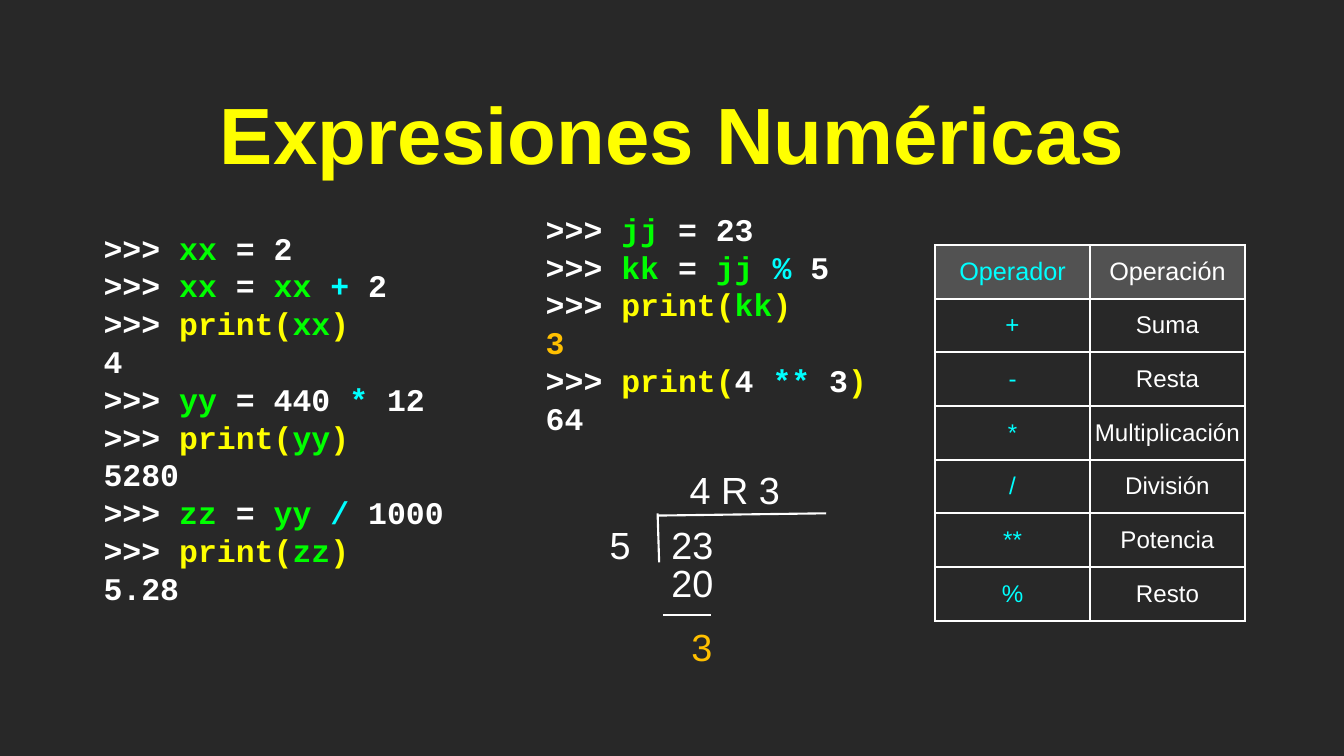
from lxml.etree import SubElement
from pptx import Presentation
from pptx.dml.color import RGBColor
from pptx.enum.shapes import MSO_CONNECTOR as Connector
from pptx.enum.text import MSO_ANCHOR as Anchor, PP_ALIGN as Align
from pptx.oxml.ns import qn
from pptx.util import Inches, Pt

WIDTH, HEIGHT = 17.78, 10
WHITE, YELLOW, GREEN, CYAN, ORANGE = "FFFFFF", "FFFF00", "00FF00", "00FFFF", "FFC000"
BACKGROUND, HEADER = "282828", "7F7F7F"
PROMPT = (">>> ", WHITE)


def print_call(name, color=GREEN):
    return [PROMPT, ("print(", YELLOW), (name, color), (")", YELLOW)]


TITLE = [[("Expresiones Numéricas", YELLOW)]]
ARITHMETIC = [
    [PROMPT, ("xx", GREEN), (" = 2", WHITE)],
    [PROMPT, ("xx", GREEN), (" = ", WHITE), ("xx ", GREEN), ("+", CYAN), (" 2", WHITE)],
    print_call("xx"),
    [("4", WHITE)],
    [PROMPT, ("yy", GREEN), (" = 440 ", WHITE), ("*", CYAN), (" 12", WHITE)],
    print_call("yy"),
    [("5280", WHITE)],
    [PROMPT, ("zz", GREEN), (" = ", WHITE), ("yy ", GREEN), ("/", CYAN), (" 1000", WHITE)],
    print_call("zz", "00FA00"),
    [("5.28", WHITE)],
]
REMAINDER = [
    [(">>>", WHITE), (" jj", GREEN), (" = 23", WHITE)],
    [PROMPT, ("kk", GREEN), (" = ", WHITE), ("jj ", GREEN), ("% ", CYAN), ("5", WHITE)],
    print_call("kk"),
    [("3", ORANGE)],
    [PROMPT, ("print(", YELLOW), ("4 ", WHITE), ("** ", CYAN), ("3", WHITE), (")", YELLOW)],
    [("64", WHITE)],
]
CODE_BLOCKS = [
    (ARITHMETIC, (1.37, 2.62, 4.88, 5.81)),
    (REMAINDER, (7.22, 2.51, 4.4, 3.53)),
]
OPERATORS = [
    ("Operador", "Operación"),
    ("+", "Suma"),
    ("-", "Resta"),
    ("*", "Multiplicación"),
    ("/", "División"),
    ("**", "Potencia"),
    ("%", "Resto"),
]
TABLE_LEFT, TABLE_TOP, COLUMN, ROW = 12.37, 3.24, 2.05, 0.71
DIGIT_HEIGHT = 0.68
DIVISION = [
    ("5", WHITE, 8.02, 6.86, 0.37),
    ("23", WHITE, 8.85, 6.86, 0.62),
    ("4 R 3", WHITE, 9.12, 6.13, 1.2),
    ("20", WHITE, 8.85, 7.36, 0.62),
    ("3", ORANGE, 9.1, 8.21, 0.37),
]
DIVISION_LINES = [
    (8.7, 6.79, 8.72, 7.44),
    (8.7, 6.82, 10.93, 6.79),
    (8.77, 8.14, 9.41, 8.14),
]


def rgb(color):
    return RGBColor.from_string(color)


def write(frame, lines, size, font="Arial", bold=False, align=Align.CENTER, spacing=None):
    for index, line in enumerate(lines):
        para = frame.add_paragraph() if index else frame.paragraphs[0]
        para.alignment = align
        if spacing:
            para.line_spacing = Pt(spacing)
        for text, color in line:
            span = para.add_run()
            span.text = text
            span.font.name, span.font.size, span.font.bold = font, Pt(size), bold
            span.font.color.rgb = rgb(color)


def add_text(page, place, lines, size, wrap=True, **style):
    box = page.shapes.add_textbox(*map(Inches, place))
    frame = box.text_frame
    frame.word_wrap = wrap
    frame.vertical_anchor = Anchor.MIDDLE
    frame.margin_left = frame.margin_right = frame.margin_top = frame.margin_bottom = 0
    write(frame, lines, size, **style)


def add_line(page, ends):
    line = page.shapes.add_connector(Connector.STRAIGHT, *map(Inches, ends))
    line.line.color.rgb = rgb(WHITE)
    line.line.width = Pt(2)
    SubElement(line._element.spPr, qn("a:effectLst"))


def add_borders(cell):
    properties = cell._tc.get_or_add_tcPr()
    for index, side in enumerate(("lnL", "lnR", "lnT", "lnB")):
        border = SubElement(properties, qn(f"a:{side}"), w=str(Pt(2)))
        fill = SubElement(border, qn("a:solidFill"))
        SubElement(fill, qn("a:srgbClr"), val=WHITE)
        properties.insert(index, border)


def fill_cell(cell, is_header):
    if not is_header:
        cell.fill.background()
        return
    cell.fill.solid()
    cell.fill.fore_color.rgb = rgb(HEADER)
    tint = cell._tc.tcPr.find(f".//{qn('a:srgbClr')}")
    SubElement(tint, qn("a:alpha"), val="49000")


def add_operators(page):
    rows, columns = len(OPERATORS), len(OPERATORS[0])
    place = TABLE_LEFT, TABLE_TOP, columns * COLUMN, rows * ROW
    table = page.shapes.add_table(rows, columns, *map(Inches, place)).table
    table.first_row = table.horz_banding = False
    for row, labels in enumerate(OPERATORS):
        for column, (label, color) in enumerate(zip(labels, (CYAN, WHITE))):
            cell = table.cell(row, column)
            cell.vertical_anchor = Anchor.MIDDLE
            cell.margin_left = cell.margin_right = Inches(0.04)
            cell.margin_top = cell.margin_bottom = Inches(0.04)
            fill_cell(cell, row == 0)
            add_borders(cell)
            write(cell.text_frame, [[(label, color)]], 23 if row else 24)


def main():
    """Build the slide on numeric expressions and save it."""
    deck = Presentation()
    deck.slide_width, deck.slide_height = Inches(WIDTH), Inches(HEIGHT)
    page = deck.slides.add_slide(deck.slide_layouts[6])
    page.background.fill.solid()
    page.background.fill.fore_color.rgb = rgb(BACKGROUND)
    for lines, place in CODE_BLOCKS:
        add_text(page, place, lines, 30, font="Courier New", bold=True,
                 align=Align.LEFT, spacing=36)
    add_operators(page)
    for ends in DIVISION_LINES:
        add_line(page, ends)
    for text, color, left, top, width in DIVISION:
        add_text(page, (left, top, width, DIGIT_HEIGHT), [[(text, color)]], 36, wrap=False)
    add_text(page, (0.05 * WIDTH, 1.09, 0.9 * WIDTH, 1.34), TITLE, 76, bold=True)
    deck.save("out.pptx")


if __name__ == "__main__":
    main()
